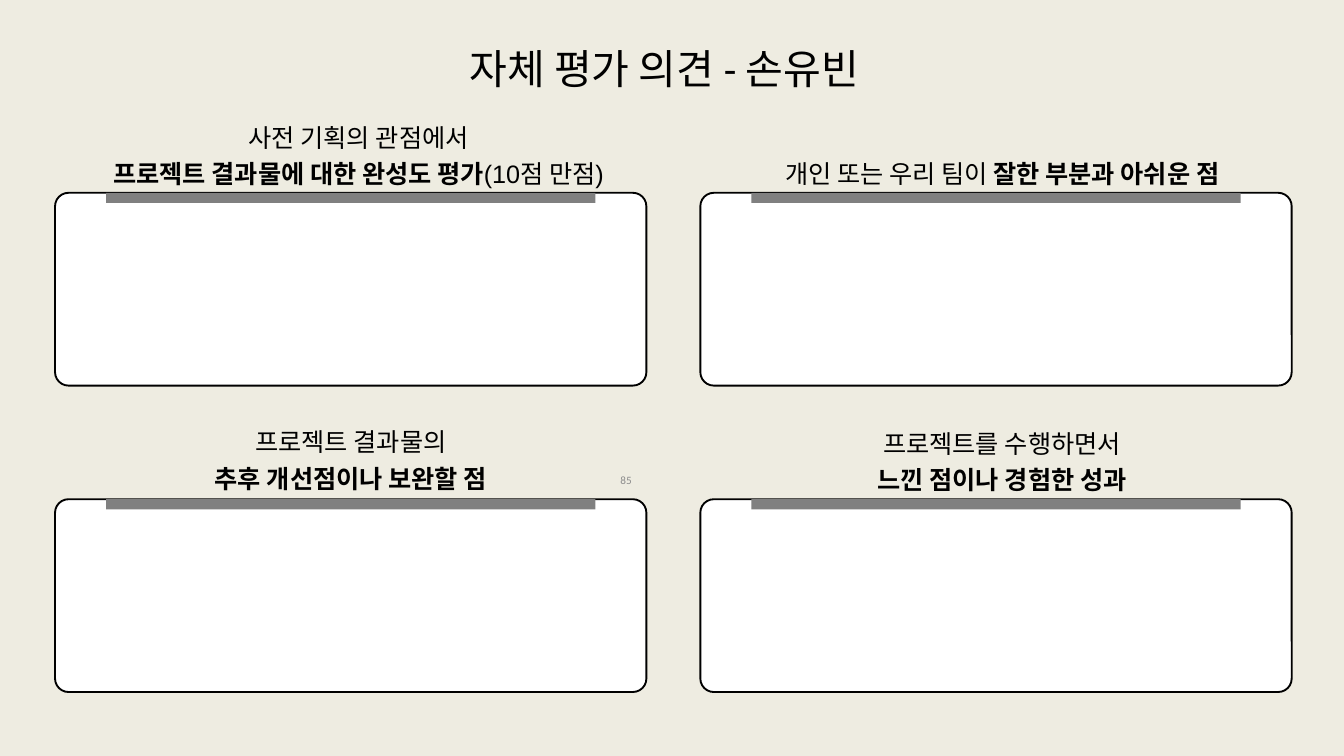
"""Build the self-evaluation slide with four titled answer panels."""
import pptx
import pptx.util
import pptx.dml.color
import pptx.enum.shapes
import pptx.enum.text

Pt = pptx.util.Pt
Color = pptx.dml.color.RGBColor.from_string
Align = pptx.enum.text.PP_ALIGN
Anchor = pptx.enum.text.MSO_ANCHOR
Shape = pptx.enum.shapes.MSO_SHAPE

TITLE = "자체 평가 의견 - 손유빈"
PAGE_NUMBER = "85"
PANELS = [
    {"column": 0, "row": 0, "heading": (85.7, 121, 596.9, 82.1), "spacing": 1.2,
     "lines": [[("사전 기획의 관점에서", False)],
               [("프로젝트 결과물에 대한 완성도 평가", True), ("(10점 만점)", False)]]},
    {"column": 0, "row": 1, "heading": (103, 447.1, 545.8, 82.1), "spacing": 1.2,
     "lines": [[("프로젝트 결과물의", False)], [("추후 개선점이나 보완할 점", True)]]},
    {"column": 1, "row": 1, "heading": (800.6, 448.6, 545.8, 82.1), "spacing": 1.2,
     "lines": [[("프로젝트를 수행하면서", False)], [("느낀 점이나 경험한 성과", True)]]},
    {"column": 1, "row": 0, "heading": (779, 162.7, 589.7, 40.3), "spacing": 1.1,
     "lines": [[("개인 또는 우리 팀이 ", False), ("잘한 부분과 아쉬운 점", True)]]},
]

THEME = {
    "background": "EEECE1", "panel": "FFFFFF", "outline": "000000", "bar": "808080",
    "title": {"name": "Calibri", "size": Pt(44), "bold": False, "color": "000000"},
    "heading": {"name": "Arial", "size": Pt(27), "color": "000000"},
    "number": {"name": "Calibri", "size": Pt(12), "color": "8C8C8C"},
}
PANEL_LEFT, PANEL_TOP = 59, 206.6
PANEL_WIDTH, PANEL_HEIGHT = 633.6, 206.6
COLUMN_STEP, ROW_STEP = 691.4, 328.3
BAR_INSET, BAR_WIDTH, BAR_HEIGHT = 54.6, 524.2, 10.8


def points(*lengths):
    return [Pt(length) for length in lengths]


def set_format(target, values):
    for name, value in values.items():
        if name == "color":
            target.color.rgb = Color(value)
        else:
            setattr(target, name, value)


def add_text(paragraph, runs, font, **layout):
    set_format(paragraph, layout)
    for text, bold in runs:
        run = paragraph.add_run()
        run.text = text
        set_format(run.font, {**font, "bold": bold})


def add_block(slide, kind, box, fill, outline=None):
    shape = slide.shapes.add_shape(kind, *points(*box))
    shape.shadow.inherit = False
    shape.fill.solid()
    shape.fill.fore_color.rgb = Color(fill)
    if outline:
        set_format(shape.line, {"color": outline, "width": Pt(2)})
    else:
        shape.line.fill.background()
    return shape


def add_panel(slide, panel):
    left = PANEL_LEFT + panel["column"] * COLUMN_STEP
    top = PANEL_TOP + panel["row"] * ROW_STEP
    frame = add_block(slide, Shape.ROUNDED_RECTANGLE, (left, top, PANEL_WIDTH, PANEL_HEIGHT),
                      THEME["panel"], THEME["outline"])
    frame.adjustments[0] = 0.07
    add_block(slide, Shape.RECTANGLE, (left + BAR_INSET, top, BAR_WIDTH, BAR_HEIGHT), THEME["bar"])
    text_frame = slide.shapes.add_textbox(*points(*panel["heading"])).text_frame
    text_frame.word_wrap = True
    for index, runs in enumerate(panel["lines"]):
        paragraph = text_frame.add_paragraph() if index else text_frame.paragraphs[0]
        add_text(paragraph, runs, THEME["heading"],
                 alignment=Align.CENTER, line_spacing=panel["spacing"])


def main():
    presentation = pptx.Presentation()
    set_format(presentation, {"slide_width": Pt(1440), "slide_height": Pt(810)})
    slide = presentation.slides.add_slide(presentation.slide_layouts[5])
    slide.background.fill.solid()
    slide.background.fill.fore_color.rgb = Color(THEME["background"])

    title = slide.shapes.title
    set_format(title, dict(zip(("left", "top", "width", "height"), points(49, 42.5, 1325.5, 61.2))))
    title.text_frame.vertical_anchor = Anchor.MIDDLE
    add_text(title.text_frame.paragraphs[0], [(TITLE, False)], THEME["title"], alignment=Align.CENTER)

    number = slide.shapes.add_textbox(*points(516.2, 500.4, 167.8, 28.8)).text_frame
    set_format(number, {"word_wrap": True, "vertical_anchor": Anchor.MIDDLE})
    add_text(number.paragraphs[0], [(PAGE_NUMBER, False)], THEME["number"], alignment=Align.RIGHT)

    for panel in PANELS:
        add_panel(slide, panel)
    presentation.save("out.pptx")


if __name__ == "__main__":
    main()
